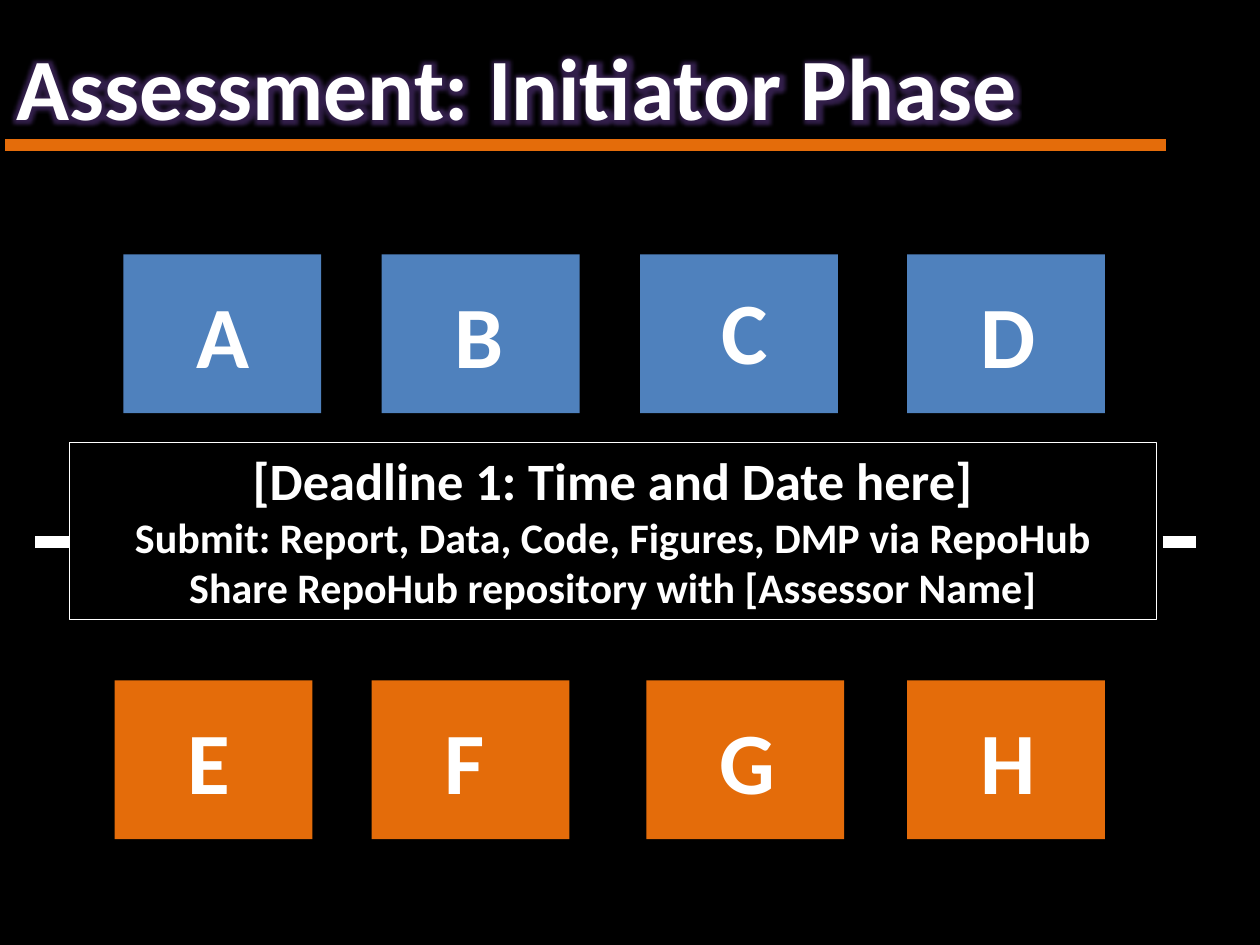
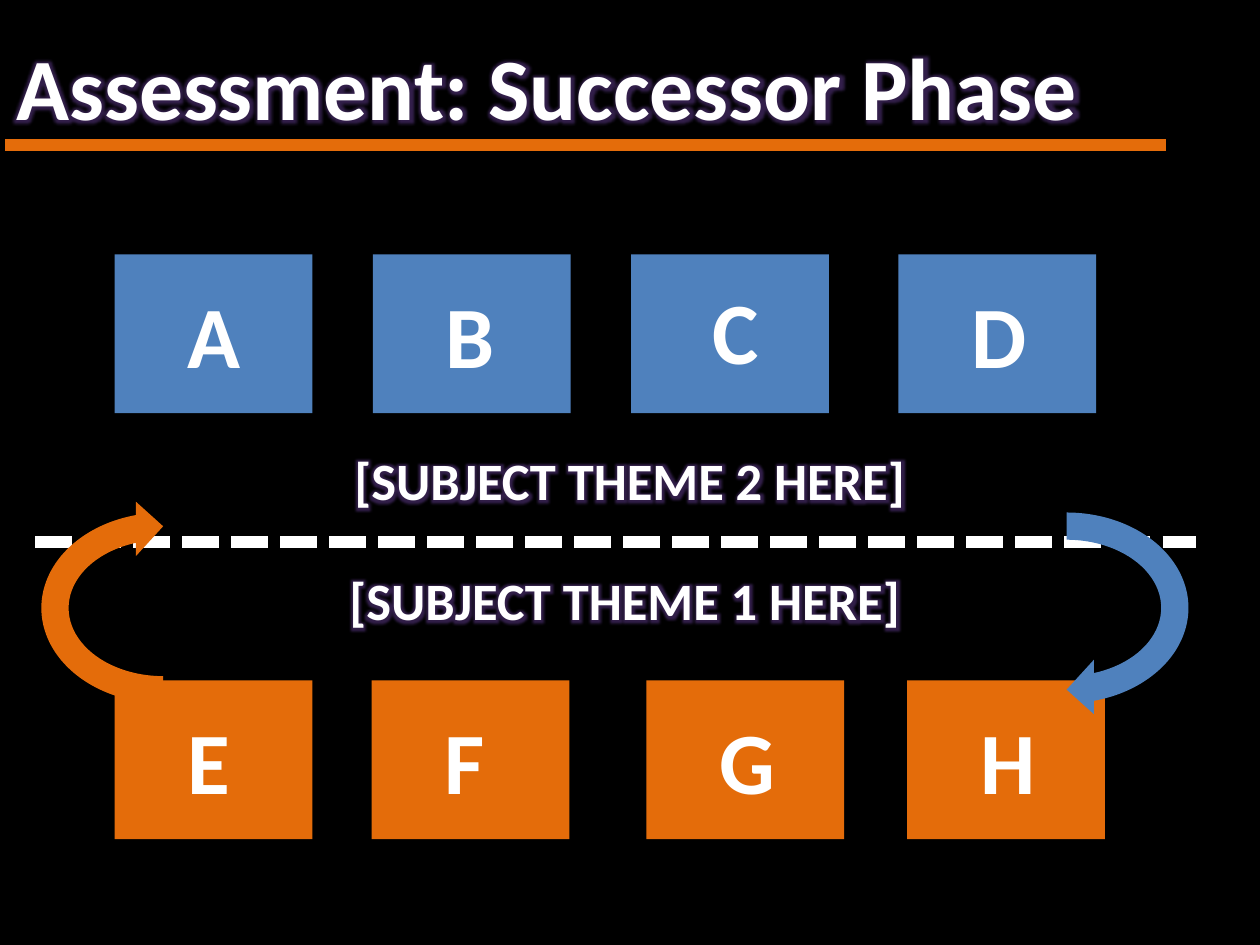
import pptx
import pptx.util
import pptx.dml.color
import pptx.enum.dml
import pptx.enum.shapes
import pptx.enum.text
import pptx.oxml
import pptx.oxml.ns

Inches = pptx.util.Inches
Pt = pptx.util.Pt
RGBColor = pptx.dml.color.RGBColor
SHAPE = pptx.enum.shapes.MSO_SHAPE
ALIGN = pptx.enum.text.PP_ALIGN

BLACK = RGBColor(0x00, 0x00, 0x00)
WHITE = RGBColor(0xFF, 0xFF, 0xFF)
BLUE = RGBColor(0x4F, 0x81, 0xBD)
ORANGE = RGBColor(0xE4, 0x6C, 0x0A)
PURPLE = RGBColor(0x7D, 0x4D, 0xB9)

FONT = "Calibri"
BIG, MEDIUM, SMALL = 50, 30, 24
RULE_WIDTH = 7

TILE_WIDTH, TILE_HEIGHT = 1.57, 1.26
LABEL_WIDTH, LABEL_HEIGHT = 0.63, 0.94
LABEL_OFFSET = (0.48, 0.16)
SPECIAL_OFFSETS = {"C": (0.55, 0.13)}
UPPER_TOP, LOWER_TOP = 2.02, 5.4
UPPER_STEPS = (0, 2.05, 4.1, 6.22)
LOWER_STEPS = (0, 2.04, 4.22, 6.29)


def place(left, top, width, height):
    """Turn a position and size in inches into lengths."""
    return [Inches(value) for value in (left, top, width, height)]


def add_glow(span):
    """Give a run a soft purple glow."""
    glow = pptx.oxml.parse_xml(
        f'<a:effectLst {pptx.oxml.ns.nsdecls("a")}><a:glow rad="101600">'
        f'<a:srgbClr val="{PURPLE}"><a:alpha val="40000"/></a:srgbClr>'
        '</a:glow></a:effectLst>')
    properties = span.font._element
    properties.find(pptx.oxml.ns.qn("a:solidFill")).addnext(glow)


def write(box, lines, align=ALIGN.LEFT, glow=False):
    """Write (text, size) lines as bold white paragraphs."""
    frame = box.text_frame
    frame.word_wrap = True
    frame.auto_size = pptx.enum.text.MSO_AUTO_SIZE.SHAPE_TO_FIT_TEXT
    frame.vertical_anchor = pptx.enum.text.MSO_ANCHOR.TOP
    for index, (text, size) in enumerate(lines):
        para = frame.add_paragraph() if index else frame.paragraphs[0]
        para.alignment = align
        span = para.add_run()
        span.text = text
        span.font.name = FONT
        span.font.size = Pt(size)
        span.font.bold = True
        span.font.color.rgb = WHITE
        if glow:
            add_glow(span)


def add_block(shapes, kind, area, fill, outline=None):
    """Add a flat filled preset shape, with a thin outline if asked for."""
    block = shapes.add_shape(kind, *place(*area))
    block.shadow.inherit = False
    block.fill.solid()
    block.fill.fore_color.rgb = fill
    if outline is None:
        block.line.fill.background()
    else:
        block.line.color.rgb = outline
        block.line.width = Pt(0.75)
    return block


def add_rule(page, left, right, top, color, dashed=False):
    """Add a thick horizontal line."""
    rule = page.shapes.add_connector(
        pptx.enum.shapes.MSO_CONNECTOR.STRAIGHT,
        Inches(left), Inches(top), Inches(right), Inches(top))
    rule.line.color.rgb = color
    rule.line.width = Pt(RULE_WIDTH)
    if dashed:
        rule.line.dash_style = pptx.enum.dml.MSO_LINE.SQUARE_DOT
    rule._element.spPr.append(pptx.oxml.parse_xml(
        f'<a:effectLst {pptx.oxml.ns.nsdecls("a")}/>'))


def add_divider(page):
    """Add the dashed line between the two rows."""
    add_rule(page, 0.28, 9.49, 4.3, WHITE, dashed=True)


def add_tiles(page, letters, left, steps, top, fill, filled_labels=False):
    """Add a grouped row of tiles, each with a letter on it."""
    row = page.shapes.add_group_shape()
    for letter, step in zip(letters, steps):
        x = left + step
        add_block(row.shapes, SHAPE.RECTANGLE,
                  (x, top, TILE_WIDTH, TILE_HEIGHT), fill)
        across, down = SPECIAL_OFFSETS.get(letter, LABEL_OFFSET)
        area = (x + across, top + down, LABEL_WIDTH, LABEL_HEIGHT)
        if filled_labels:
            label = add_block(row.shapes, SHAPE.RECTANGLE, area, fill)
        else:
            label = row.shapes.add_textbox(*place(*area))
        write(label, [(letter, BIG)])


def add_rows(page, upper_left):
    """Add the blue row A to D and the orange row E to H."""
    add_tiles(page, "ABCD", upper_left, UPPER_STEPS, UPPER_TOP, BLUE)
    add_tiles(page, "EFGH", 0.91, LOWER_STEPS, LOWER_TOP, ORANGE,
              filled_labels=True)


def add_theme(page, text, area):
    """Add a centred glowing theme caption."""
    box = page.shapes.add_textbox(*place(*area))
    write(box, [(text, MEDIUM)], ALIGN.CENTER, glow=True)


def add_turn(page, left, fill, rotation):
    """Add a half-circle arrow linking the two rows."""
    arrow = add_block(page.shapes, SHAPE.CIRCULAR_ARROW,
                      (left, 3.75, 1.73, 2.15), fill)
    arrow.rotation = rotation


def add_page(deck, title, title_width):
    """Add a slide with its glowing title and orange rule."""
    page = deck.slides.add_slide(deck.slide_layouts.get_by_name("Title Only"))
    box = page.shapes.title
    box.left, box.top, box.width, box.height = place(
        0.03, 0.21, title_width, 0.94)
    write(box, [(title, BIG)], glow=True)
    add_rule(page, 0.04, 9.25, 1.15, ORANGE)
    return page


def build_initiator(deck):
    """Build the initiator phase slide with its deadline box."""
    page = add_page(deck, "Assessment: Initiator Phase", 9.46)
    add_divider(page)
    add_rows(page, 0.98)
    deadline = add_block(page.shapes, SHAPE.RECTANGLE,
                         (0.55, 3.51, 8.63, 1.41), BLACK, WHITE)
    write(deadline, [
        ("[Deadline 1: Time and Date here]", MEDIUM),
        ("Submit: Report, Data, Code, Figures, DMP via RepoHub", SMALL),
        ("Share RepoHub repository with [Assessor Name]", SMALL),
    ], ALIGN.CENTER)


def build_successor(deck):
    """Build the successor phase slide, where the themes swap."""
    page = add_page(deck, "Assessment: Successor Phase", 9.85)
    add_rows(page, 0.91)
    add_divider(page)
    add_theme(page, "[SUBJECT THEME 1 HERE]", (2.32, 4.46, 5.28, 0.61))
    add_theme(page, "[SUBJECT THEME 2 HERE]", (2.01, 3.51, 5.98, 0.61))
    add_turn(page, 0.43, ORANGE, 270)
    add_turn(page, 7.6, BLUE, 90)


def main():
    """Build and save the deck."""
    deck = pptx.Presentation()
    deck.slide_width, deck.slide_height = Inches(10), Inches(7.5)
    backdrop = deck.slide_master.background.fill
    backdrop.solid()
    backdrop.fore_color.rgb = BLACK
    build_initiator(deck)
    build_successor(deck)
    deck.save("out.pptx")


main()
